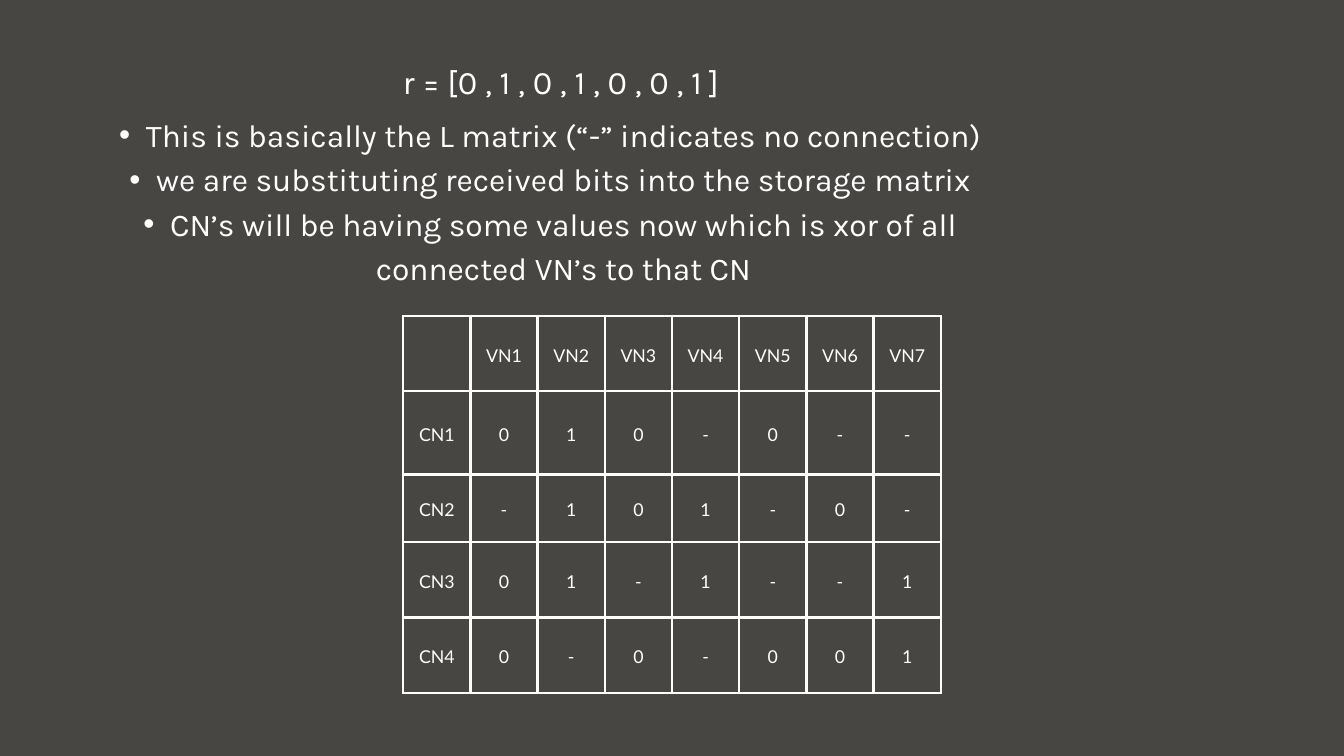
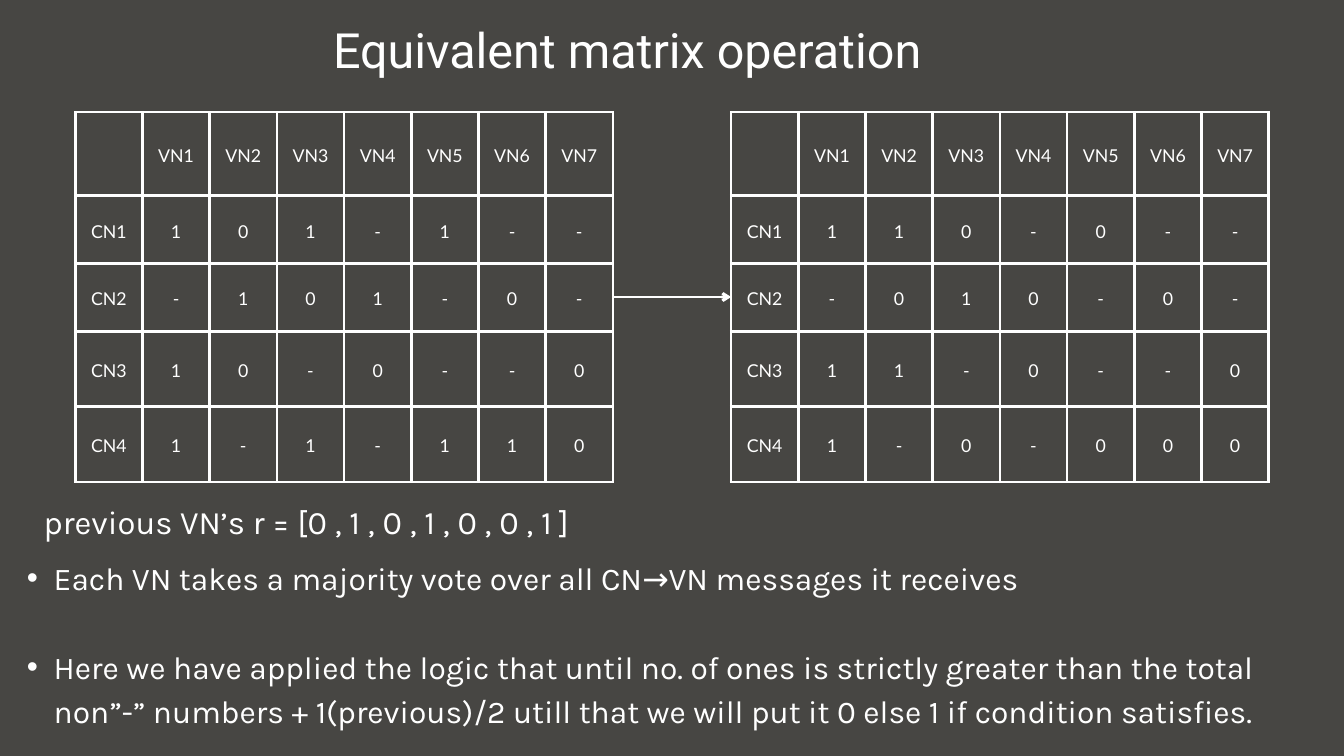
import pptx
import pptx.dml.color
import pptx.enum.shapes
import pptx.enum.text
import pptx.oxml.ns
import pptx.util
from lxml import etree

Inches = pptx.util.Inches
Pt = pptx.util.Pt
RGBColor = pptx.dml.color.RGBColor
ALIGN = pptx.enum.text.PP_ALIGN
ANCHOR = pptx.enum.text.MSO_ANCHOR
qn = pptx.oxml.ns.qn

BACKGROUND = RGBColor(0x47, 0x46, 0x43)
WHITE = RGBColor(0xFF, 0xFF, 0xFF)
BODY_FONT = "Karla"
TABLE_FONT = "Lato"
TITLE_FONT = "Roboto"
TITLE_ONLY, BLANK = 5, 6
LINE_WIDTH = Pt(3)
CELL_MARGIN = Inches(0.21)
BULLET_LINE = 47.6
VARIABLE_NODES = 7


def add_span(para, text, font, size, spacing, align):
    para.alignment = align
    para.line_spacing = Pt(spacing)
    span = para.add_run()
    span.text = text
    span.font.name = font
    span.font.size = Pt(size)
    span.font.color.rgb = WHITE


def clear_margins(frame):
    frame.word_wrap = True
    frame.margin_left = frame.margin_right = 0
    frame.margin_top = frame.margin_bottom = 0
    frame.vertical_anchor = ANCHOR.TOP


def add_box(page, left, top, width, height):
    box = page.shapes.add_textbox(Inches(left), Inches(top), Inches(width), Inches(height))
    frame = box.text_frame
    clear_margins(frame)
    frame.auto_size = pptx.enum.text.MSO_AUTO_SIZE.SHAPE_TO_FIT_TEXT
    return frame


def add_title(page, text):
    title = page.shapes.title
    title.left, title.top = Inches(3.92), Inches(0.15)
    title.width, title.height = Inches(10.83), Inches(0.91)
    clear_margins(title.text_frame)
    add_span(title.text_frame.paragraphs[0], text, TITLE_FONT, 52, 72.8, ALIGN.CENTER)


def add_received_word(page, text, left, top, width):
    frame = add_box(page, left, top, width, 0.65)
    add_span(frame.paragraphs[0], text, BODY_FONT, 35.1, 49.2, ALIGN.CENTER)


def set_bullet(para):
    para.level = 1
    props = para._p.get_or_add_pPr()
    props.set("marL", str(Inches(0.8)))
    props.set("indent", str(Inches(-0.4)))
    etree.SubElement(props, qn("a:buFont"), typeface="Arial")
    etree.SubElement(props, qn("a:buChar"), char="•")


def add_bullets(page, lines, left, top, width, align, gap=0):
    frame = add_box(page, left, top, width, 2.6)
    for index, line in enumerate(lines):
        para = frame.add_paragraph() if index else frame.paragraphs[0]
        set_bullet(para)
        if index and gap:
            para.space_before = Pt(gap)
        add_span(para, line, BODY_FONT, 34, BULLET_LINE, align)


def add_line_fill(line):
    fill = etree.SubElement(line, qn("a:solidFill"))
    etree.SubElement(fill, qn("a:srgbClr"), val=str(WHITE))


def format_cell(cell, text):
    cell.margin_left = cell.margin_right = CELL_MARGIN
    cell.margin_top = cell.margin_bottom = CELL_MARGIN
    cell.vertical_anchor = ANCHOR.MIDDLE
    props = cell._tc.get_or_add_tcPr()
    for side in "LRTB":
        add_line_fill(etree.SubElement(props, qn(f"a:ln{side}"), w=str(LINE_WIDTH)))
    cell.fill.background()
    if text:
        add_span(cell.text_frame.paragraphs[0], text, TABLE_FONT, 19, 26.6, ALIGN.CENTER)


def add_matrix(page, left, top, heights, check_rows):
    header = [""] + [f"VN{node}" for node in range(1, VARIABLE_NODES + 1)]
    rows = [header] + [[f"CN{node}", *bits] for node, bits in enumerate(check_rows, 1)]
    table = page.shapes.add_table(
        len(rows), len(header), Inches(left), Inches(top),
        Inches(len(header)), Inches(sum(heights))).table
    table.first_row = table.horz_banding = False
    for column in table.columns:
        column.width = Inches(1)
    for row, height, texts in zip(table.rows, heights, rows):
        row.height = Inches(height)
        for cell, text in zip(row.cells, texts):
            format_cell(cell, text)


def add_arrow(page, start, end, y):
    arrow = page.shapes.add_connector(
        pptx.enum.shapes.MSO_CONNECTOR.STRAIGHT,
        Inches(start), Inches(y), Inches(end), Inches(y))
    arrow.line.color.rgb = WHITE
    arrow.line.width = LINE_WIDTH
    etree.SubElement(arrow.line._get_or_add_ln(), qn("a:tailEnd"), type="arrow")
    etree.SubElement(arrow._element.spPr, qn("a:effectLst"))


def build_storage_page(deck):
    page = deck.slides.add_slide(deck.slide_layouts[BLANK])
    add_matrix(page, 6, 4.7, [1.12, 1.24, 1.01, 1.12, 1.12],
               ["010-0--", "-101-0-", "01-1--1", "0-0-001"])
    add_received_word(page, "r = [0 , 1 , 0 , 1 , 0 , 0 , 1 ]", 5.17, 0.82, 6.36)
    add_bullets(page, [
        "This is basically the L matrix (“-” indicates no connection)",
        "we are substituting received bits into the storage matrix",
        "CN’s will be having some values now which is xor of all connected VN’s to that CN",
    ], 0.81, 1.63, 14.35, ALIGN.CENTER)


def build_operation_page(deck):
    page = deck.slides.add_slide(deck.slide_layouts[TITLE_ONLY])
    add_title(page, "Equivalent matrix operation")
    heights = [1.24, 1.01, 1.01, 1.12, 1.12]
    add_matrix(page, 1.12, 1.67, heights, ["101-1--", "-101-0-", "10-0--0", "1-1-110"])
    add_matrix(page, 10.88, 1.67, heights, ["110-0--", "-010-0-", "11-0--0", "1-0-000"])
    add_arrow(page, 9.12, 10.88, 4.42)
    add_received_word(page, "previous VN’s r = [0 , 1 , 0 , 1 , 0 , 0 , 1 ]", 0, 7.37, 9.12)
    add_bullets(page, [
        "Each VN takes a majority vote over all CN→VN messages it receives",
        "Here we have applied the logic that until no. of ones is strictly greater than "
        "the total non”-” numbers + 1(previous)/2 utill that we will put it 0 else 1 "
        "if condition satisfies.",
    ], 0, 8.22, 20, ALIGN.LEFT, gap=BULLET_LINE)


def main():
    deck = pptx.Presentation()
    deck.slide_width, deck.slide_height = Inches(20), Inches(11.25)
    fill = deck.slide_master.background.fill
    fill.solid()
    fill.fore_color.rgb = BACKGROUND
    build_storage_page(deck)
    build_operation_page(deck)
    deck.save("out.pptx")


if __name__ == "__main__":
    main()
